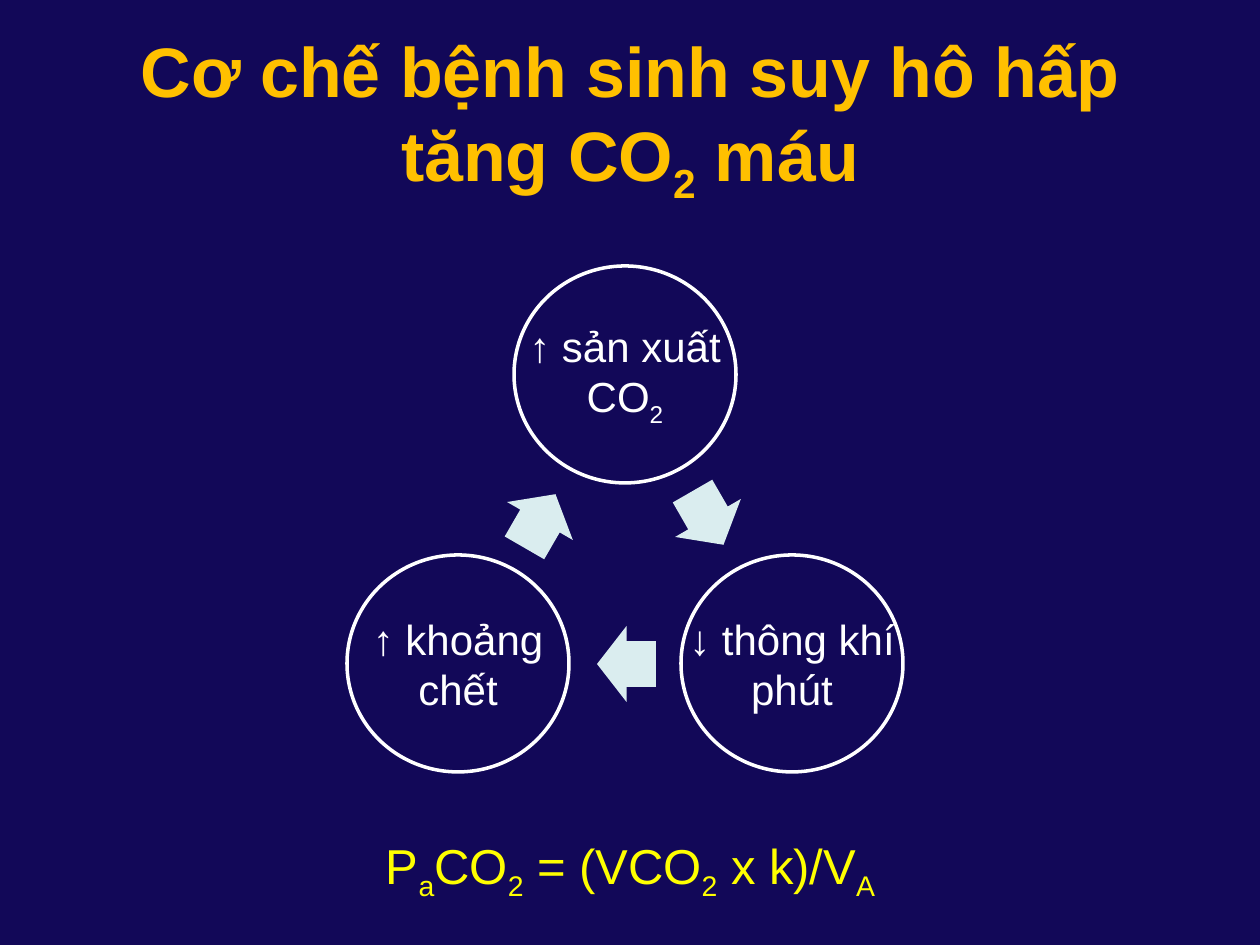
from pptx import Presentation
from pptx.dml.color import RGBColor as RGB
from pptx.enum.shapes import MSO_SHAPE as Shape
from pptx.enum.text import MSO_ANCHOR as Anchor, PP_ALIGN as Align
from pptx.util import Emu, Pt

NAVY = RGB(0x12, 0x08, 0x58)
GOLD = RGB(0xFF, 0xC0, 0x00)
YELLOW = RGB(0xFF, 0xFF, 0x00)
WHITE = RGB(0xFF, 0xFF, 0xFF)
PALE = RGB(0xDA, 0xED, 0xEF)
SCALE = 914400 / 126


def px(*sizes):
    return [Emu(round(size * SCALE)) for size in sizes]


class Deck:
    font = "Arial"

    def __init__(self, wide, high):
        self.prs = Presentation()
        self.prs.slide_width, self.prs.slide_height = px(wide, high)
        self.slide = self.prs.slides.add_slide(self.prs.slide_layouts[6])
        fill = self.slide.background.fill
        fill.solid()
        fill.fore_color.rgb = NAVY

    def text(self, box, parts, size, color, bold=False, anchor=Anchor.MIDDLE, inset=None):
        frame = self.slide.shapes.add_textbox(*px(*box)).text_frame
        frame.word_wrap = True
        frame.vertical_anchor = anchor
        if inset is not None:
            (gap,) = px(inset)
            frame.margin_left = frame.margin_right = gap
            frame.margin_top = frame.margin_bottom = gap
        para = frame.paragraphs[0]
        para.alignment = Align.CENTER
        for order, part in enumerate(parts):
            run = para.add_run()
            run.text = part
            font = run.font
            font.name, font.size, font.bold = self.font, Pt(size), bold
            font.color.rgb = color
            if order % 2:
                font._element.set("baseline", "-25000")

    def circle(self, left, top, parts):
        box = (left, top, 222, 217)
        ring = self.slide.shapes.add_shape(Shape.OVAL, *px(*box))
        ring.shadow.inherit = False
        ring.fill.background()
        ring.line.color.rgb = WHITE
        ring.line.width = Pt(2)
        self.text(box, parts, 24, WHITE, inset=4)

    def arrow(self, left, top, wide, turn):
        arrow = self.slide.shapes.add_shape(Shape.RIGHT_ARROW, *px(left, top, wide, 76))
        arrow.shadow.inherit = False
        arrow.adjustments[0] = 0.6
        arrow.adjustments[1] = 0.5
        arrow.rotation = turn
        arrow.fill.solid()
        arrow.fill.fore_color.rgb = PALE
        arrow.line.fill.background()


def main():
    deck = Deck(1260, 945)
    formula = ["P", "a", "CO", "2", " = (VCO", "2", " x k)/V", "A"]
    deck.text((305, 829, 651, 84), formula, 28, YELLOW, anchor=Anchor.TOP)
    title = ["Cơ chế bệnh sinh suy hô hấp tăng CO", "2", " máu"]
    deck.text((63, 38, 1134, 158), title, 40, GOLD, bold=True)
    deck.circle(514, 266, ["↑ sản xuất CO", "2"])
    deck.arrow(677, 480, 62, 60)
    deck.circle(681, 555, ["↓ thông khí phút"])
    deck.arrow(597, 626, 59, 180)
    deck.circle(347, 555, ["↑ khoảng chết"])
    deck.arrow(509, 483, 62, 300)
    deck.prs.save("out.pptx")


if __name__ == "__main__":
    main()
